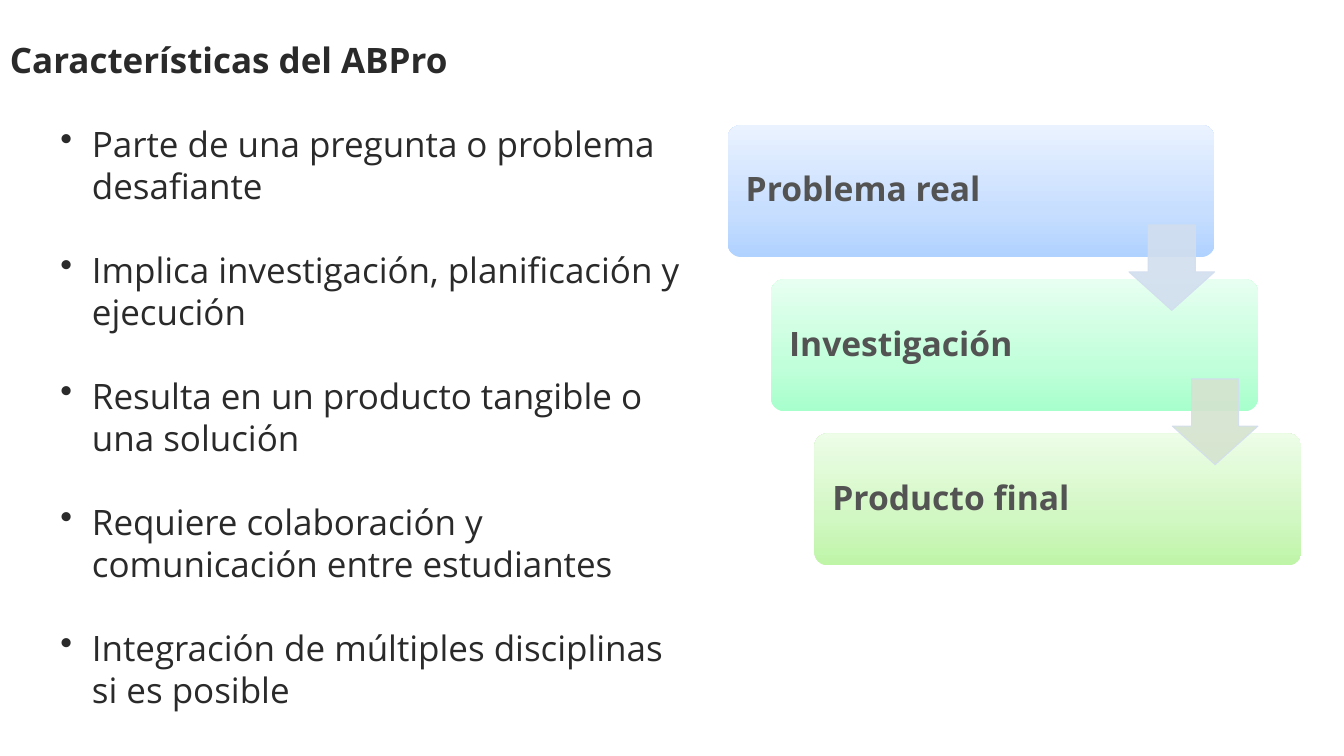
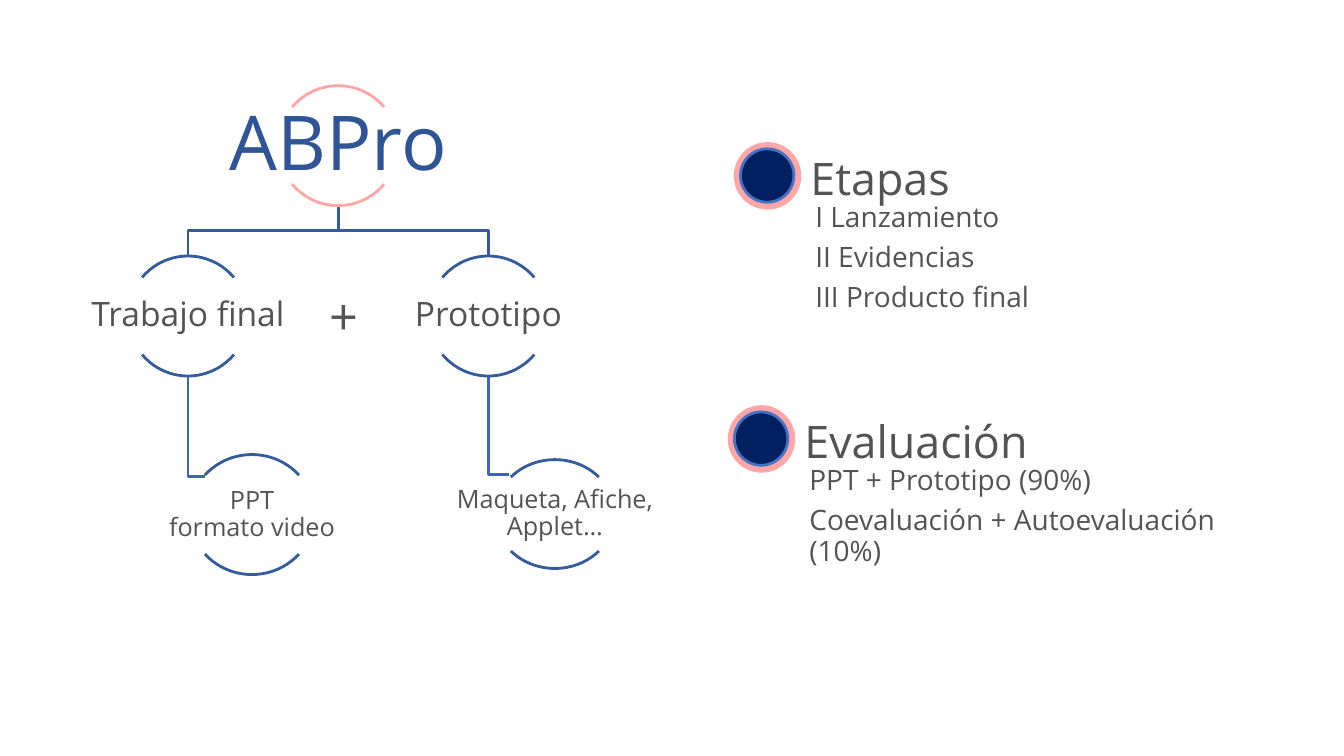
import copy

import pptx
import pptx.dml.color
import pptx.enum.shapes
import pptx.enum.text
import pptx.oxml.ns
import pptx.oxml.xmlchemy
import pptx.util

RGB = pptx.dml.color.RGBColor
KIND = pptx.enum.shapes.MSO_SHAPE
ALIGN = pptx.enum.text.PP_ALIGN
ANCHOR = pptx.enum.text.MSO_ANCHOR
Pt = pptx.util.Pt
qn = pptx.oxml.ns.qn
make = pptx.oxml.xmlchemy.OxmlElement

FONT = "Open Sans"
INK = RGB(0x2A, 0x2A, 0x2A)
GRAY = RGB(0x53, 0x53, 0x53)
BLUE = RGB(0x2F, 0x55, 0x97)
ARC = RGB(0x36, 0x5B, 0x9D)
WIRE = RGB(0x3E, 0x67, 0xB2)
PINK = RGB(0xFF, 0xA7, 0xA7)
NAVY = RGB(0x00, 0x20, 0x60)
RIM = RGB(0x44, 0x72, 0xC4)
EDGE = RGB(0xD2, 0xDE, 0xEF)
SAGE = RGB(0xD5, 0xE3, 0xCF)
SKY = (RGB(0xB0, 0xD2, 0xFF), RGB(0xC7, 0xDE, 0xFF), RGB(0xEA, 0xF2, 0xFF))
MINT = (RGB(0xA7, 0xFF, 0xCC), RGB(0xC1, 0xFF, 0xDA), RGB(0xE7, 0xFF, 0xF1))
LIME = (RGB(0xBE, 0xF5, 0xA7), RGB(0xD1, 0xF7, 0xC2), RGB(0xED, 0xFD, 0xE7))

# The slide is a grid of 80 columns and 45 rows of square cells.
COLS, ROWS = 80, 45
CELL = pptx.util.Inches(7.5) // ROWS


def cells(*counts):
    return [round(count * CELL) for count in counts]


def style(para, size, color=GRAY, bold=False):
    font = para.font
    font.name, font.size, font.bold = FONT, Pt(size), bold
    font.color.rgb = color


def write(shape, text, size, color=GRAY, bold=False, align=ALIGN.LEFT,
          anchor=ANCHOR.MIDDLE, inset=0.5):
    """Put compact paragraphs into a shape; the inset is in cells."""
    frame = shape.text_frame
    frame.word_wrap = True
    frame.vertical_anchor = anchor
    frame.margin_left, frame.margin_right = cells(inset, inset)
    frame.margin_top, frame.margin_bottom = cells(inset, inset)
    frame.text = text
    for para in frame.paragraphs:
        para.alignment = align
        para.line_spacing = 0.9
        para.space_after = Pt(0.35 * size)
        style(para, size, color, bold)
    return frame


def label(slide, at, text, size, **look):
    return write(slide.shapes.add_textbox(*cells(*at)), text, size, **look)


def draw(slide, kind, at, fill=None, line=None, width=2, adj=()):
    shape = slide.shapes.add_shape(kind, *cells(*at))
    shape.shadow.inherit = False
    for i, value in enumerate(adj):
        shape.adjustments[i] = value
    if fill is None:
        shape.fill.background()
    else:
        shape.fill.solid()
        shape.fill.fore_color.rgb = fill
    if line is None:
        shape.line.fill.background()
    else:
        shape.line.color.rgb = line
        shape.line.width = Pt(width)
    return shape


def blend(shape, shades):
    """Fill upwards through three shades."""
    shape.fill.gradient()
    shape.fill.gradient_angle = 90
    stops = shape._element.spPr.find(".//" + qn("a:gsLst"))
    stops.append(copy.deepcopy(stops[0]))
    for stop, place, shade in zip(shape.fill.gradient_stops, (0, 0.35, 1), shades):
        stop.position = place
        stop.color.rgb = shade


def fade(shape, share):
    """Make fill and line partly opaque."""
    for color in shape._element.spPr.iter(qn("a:srgbClr")):
        alpha = make("a:alpha")
        alpha.set("val", str(round(share * 100000)))
        color.append(alpha)


def bullet(para):
    props = para._p.get_or_add_pPr()
    left, hang = cells(4.88, 1.88)
    props.set("marL", str(left))
    props.set("indent", str(-hang))
    mark = make("a:buChar")
    mark.set("char", "•")
    props.append(mark)


def points(slide, at, title, items):
    """Bold title above a bulleted list."""
    frame = slide.shapes.add_textbox(*cells(*at)).text_frame
    frame.word_wrap = True
    frame.text = "\n".join([title, *items])
    head, *rest = frame.paragraphs
    style(head, 25, INK, True)
    for para in rest:
        bullet(para)
        para.space_before = Pt(30)
        style(para, 25, INK)


def stairs(slide, steps, arrows):
    """Cards stepping down to the right, joined by arrows."""
    left, top, right, down = 43.32, 7.44, 2.58, 9.18
    for i, (text, shades) in enumerate(steps):
        at = (left + i * right, top + i * down, 28.98, 7.86)
        card = draw(slide, KIND.ROUNDED_RECTANGLE, at, adj=(0.1,))
        blend(card, shades)
        write(card, text, 24, bold=True, inset=0.84)
    for i, fill in enumerate(arrows):
        at = (67.2 + i * right, 13.38 + i * down, 5.1, 5.1)
        fade(draw(slide, KIND.DOWN_ARROW, at, fill, EDGE, 0.75, (0.55, 0.45)), 0.9)


def wire(slide, color, *stops):
    start, *rest = [cells(*stop) for stop in stops]
    pen = slide.shapes.build_freeform(*start, scale=1.0)
    pen.add_line_segments(rest, close=False)
    path = pen.convert_to_shape()
    path.shadow.inherit = False
    path.fill.background()
    path.line.color.rgb = color
    path.line.width = Pt(2)


def node(slide, text, mid, top, size, wide=7.14, high=7.14, arc=ARC, color=GRAY):
    """Text between an upper and a lower arc, centred on column mid."""
    for adj in ((132, 192), (24, 84)):
        draw(slide, KIND.ARC, (mid - wide / 2, top, wide, high), line=arc, adj=adj)
    at = (mid - wide, top + 0.18 * high, 2 * wide, 0.64 * high)
    label(slide, at, text, size, color=color, align=ALIGN.CENTER, inset=0.1)


def topic(slide, left, top, title, lines):
    """Round marker with a heading and its lines."""
    draw(slide, KIND.OVAL, (left, top, 4.02, 4.02), PINK)
    draw(slide, KIND.CHORD, (left + 0.4, top + 0.4, 3.18, 3.18), NAVY, RIM,
         adj=(162, 162))
    label(slide, (left + 4.5, top + 3.3, 29.5, 8), "\n".join(lines), 20,
          anchor=ANCHOR.TOP, inset=0.36)
    label(slide, (left + 4.02, top + 0.3, 22.86, 4.02), title, 32,
          anchor=ANCHOR.BOTTOM, inset=0.54)


def traits(slide):
    points(slide, (0, 2, 41.1, 41), "Características del ABPro", [
        "Parte de una pregunta o problema desafiante",
        "Implica investigación, planificación y ejecución",
        "Resulta en un producto tangible o una solución",
        "Requiere colaboración y comunicación entre estudiantes",
        "Integración de múltiples disciplinas si es posible",
    ])
    stairs(slide, [("Problema real", SKY), ("Investigación", MINT),
                   ("Producto final", LIME)], [EDGE, SAGE])


def plan(slide):
    root, work, model = 20.13, 11.19, 29.07
    for mid, end, row in ((model, 30.3, 28.26), (work, 12.18, 28.38)):
        wire(slide, WIRE, (mid, 22.38), (mid, row), (end, row))
        wire(slide, ARC, (root, 12.24), (root, 13.74), (mid, 13.74), (mid, 15.24))
    node(slide, "ABPro", root, 5.1, 54, arc=PINK, color=BLUE)
    node(slide, "Trabajo final", work, 15.24, 24)
    node(slide, "PPT\vformato video", 15, 27.06, 18, wide=7.44)
    node(slide, "Prototipo", model, 15.24, 24)
    node(slide, "Maqueta, Afiche, Applet…", 33.03, 27.36, 18, high=6.48)
    topic(slide, 43.68, 8.46, "Etapas",
          ["I Lanzamiento", "II Evidencias", "III Producto final"])
    topic(slide, 43.32, 24.12, "Evaluación",
          ["PPT + Prototipo (90%)", "Coevaluación + Autoevaluación (10%)"])
    plus = label(slide, (19.02, 16.38, 2.82, 4.86), "+", 36,
                 anchor=ANCHOR.TOP, inset=0.6)
    plus.word_wrap = False
    plus.paragraphs[0].line_spacing = 1.0


def main():
    deck = pptx.Presentation()
    deck.slide_width, deck.slide_height = cells(COLS, ROWS)
    for build in (traits, plan):
        build(deck.slides.add_slide(deck.slide_layouts[6]))
    deck.save("out.pptx")


if __name__ == "__main__":
    main()
